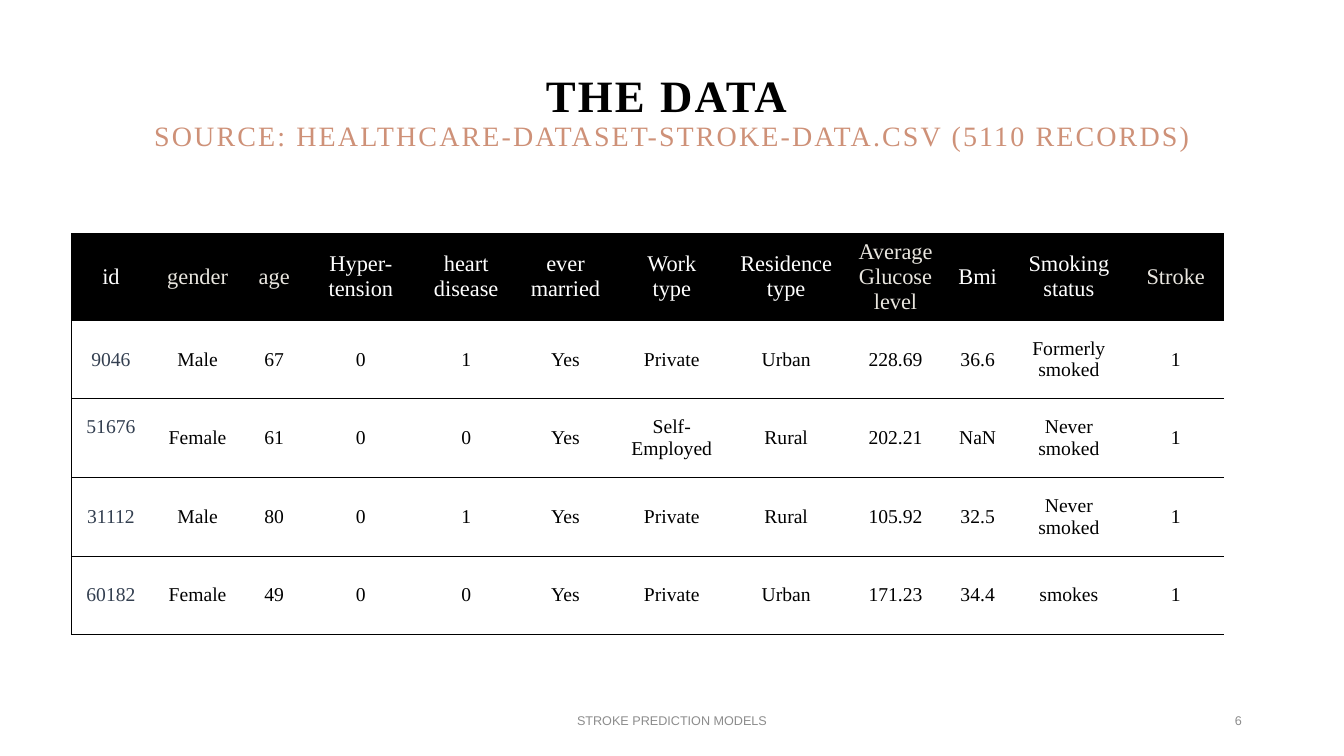
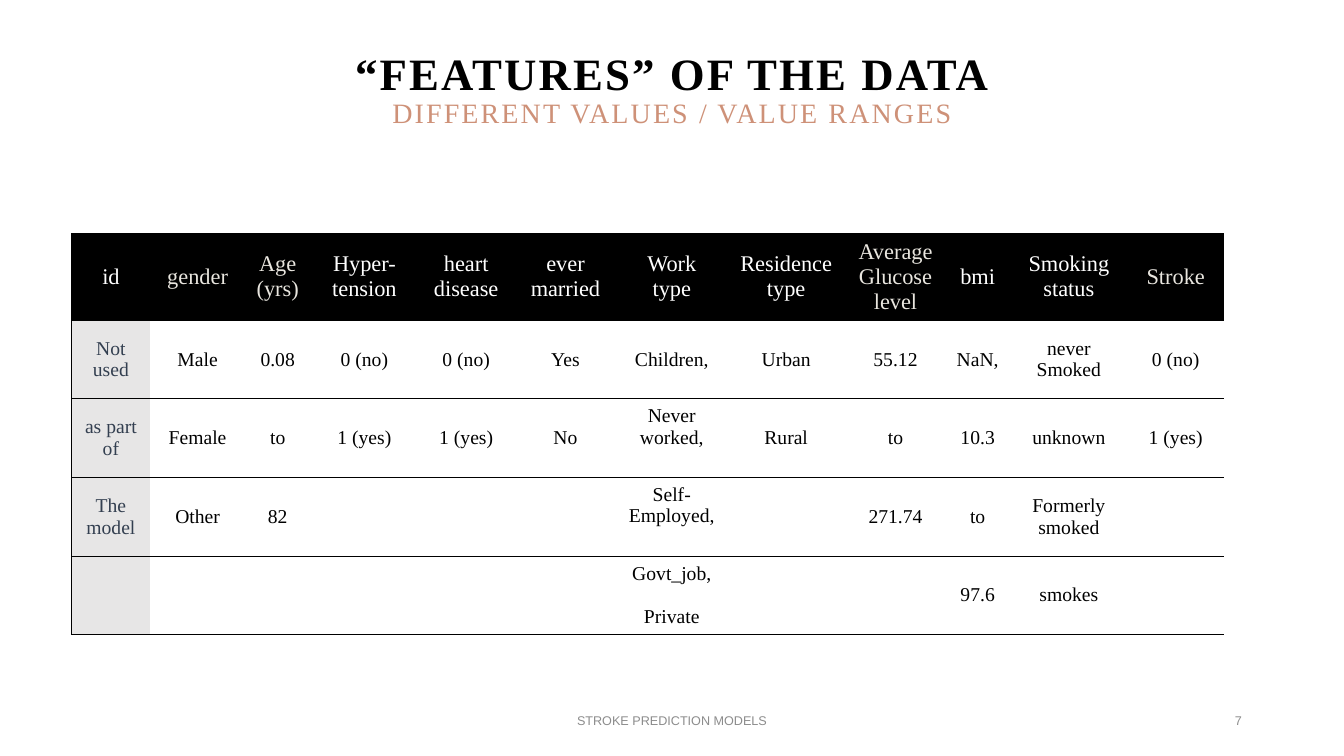
from dataclasses import dataclass
from typing import Any, Optional

from lxml.etree import SubElement
from pptx import Presentation
from pptx.dml.color import RGBColor
from pptx.enum.text import MSO_ANCHOR as Anchor, PP_ALIGN as Align
from pptx.oxml.ns import qn
from pptx.util import Inches, Pt

# Shared look
SERIF, SANS = "Times New Roman", "Arial"
BLACK, WHITE, CREAM = "000000", "FFFFFF", "E9E6DF"
COPPER, SLATE, GREY, PALE = "CE9178", "333F50", "8C8C8C", "E7E6E6"
WIDTH, HEIGHT = Inches(13.333), Inches(7.5)
TITLE_FORMAT = {"name": SERIF, "size": Pt(32), "bold": True}
SUBTITLE_FORMAT = {"name": SERIF, "size": Pt(20), "bold": False}
HEADER_FORMAT = {"name": SERIF, "size": Pt(16), "bold": False}
BODY_FORMAT = {"name": SERIF, "size": Pt(14), "bold": False}
FOOTER_FORMAT = {"name": SANS, "size": Pt(9)}
FOOTER_TEXT = "STROKE PREDICTION MODELS"
CREAM_COLUMNS = {1, 2, 8, 11}
ROW_SHARES = (84, 78, 78, 78, 78)
CELL_MARGIN = Inches(0.03)
RAISE = Inches(0.22)


@dataclass(frozen=True)
class Box:
    """Position and size in percent of the slide."""
    left: float
    top: float
    width: float
    height: float

    def lengths(self) -> tuple[int, int, int, int]:
        return (int(WIDTH * self.left / 100), int(HEIGHT * self.top / 100),
                int(WIDTH * self.width / 100), int(HEIGHT * self.height / 100))


TITLE_BOX = Box(6.9, 5.33, 86.2, 19.33)
TABLE_BOX = Box(5.33, 30.87, 85.73, 52.8)
FOOTER_BOX = Box(33.12, 92.67, 33.75, 5.33)
NUMBER_BOX = Box(70.65, 92.67, 22.5, 5.33)


@dataclass(frozen=True)
class Line:
    text: str
    format: dict[str, Any]
    color: str
    spacing: int = 0


@dataclass(frozen=True)
class DataSlide:
    number: int
    title: str
    subtitle: str
    column_shares: tuple[int, ...]
    rows: tuple[tuple[str, ...], ...]
    title_raise: float = 0
    id_fill: Optional[str] = None
    raised_cells: frozenset[tuple[int, int]] = frozenset()
    spread_cells: frozenset[tuple[int, int]] = frozenset()


def headings(age: str, bmi: str) -> tuple[str, ...]:
    return ("id", "gender", age, "Hyper-tension", "heart disease", "ever married",
            "Work type", "Residence type", "Average Glucose level", bmi,
            "Smoking status", "Stroke")


SLIDES = (
    DataSlide(
        6, "THE DATA ", "SOURCE: HEALTHCARE-DATASET-STROKE-DATA.CSV (5110 RECORDS)",
        (78, 94, 58, 114, 95, 102, 109, 118, 99, 64, 117, 95),
        (headings("age", "Bmi"),
         ("9046", "Male", "67", "0", "1", "Yes", "Private", "Urban",
          "228.69", "36.6", "Formerly smoked", "1"),
         ("51676", "Female", "61", "0", "0", "Yes", "Self-Employed", "Rural",
          "202.21", "NaN", "Never smoked", "1"),
         ("31112", "Male", "80", "0", "1", "Yes", "Private", "Rural",
          "105.92", "32.5", "Never smoked", "1"),
         ("60182", "Female", "49", "0", "0", "Yes", "Private", "Urban",
          "171.23", "34.4", "smokes", "1")),
        raised_cells=frozenset({(2, 0)})),
    DataSlide(
        7, "“FEATURES” OF THE DATA", "DIFFERENT VALUES / VALUE RANGES",
        (78, 94, 65, 107, 95, 102, 109, 118, 99, 64, 117, 95),
        (headings("Age\n(yrs)", "bmi"),
         ("Not used", "Male", "0.08", "0 (no)", "0 (no)", "Yes", "Children,", "Urban",
          "55.12", "NaN,", "never\nSmoked", "0 (no)"),
         ("as part\nof", "Female", "to", "1 (yes)", "1 (yes)", "No", "Never\nworked,", "Rural",
          "to", "10.3", "unknown", "1 (yes)"),
         ("The model", "Other", "82", "", "", "", "Self-Employed,", "",
          "271.74", "to", "Formerly\nsmoked", ""),
         ("", "", "", "", "", "", "Govt_job,\nPrivate", "",
          "", "97.6", "smokes", "")),
        title_raise=0.45, id_fill=PALE,
        raised_cells=frozenset({(2, 6), (3, 6)}),
        spread_cells=frozenset({(4, 6)})),
)


def rgb(color: str) -> RGBColor:
    return RGBColor.from_string(color)


def apply_format(font: Any, values: dict[str, Any], color: str) -> None:
    for name, value in values.items():
        setattr(font, name, value)
    font.color.rgb = rgb(color)


def add_text(slide: Any, box: Box, lines: list[Line], align: Any = Align.CENTER,
             line_spacing: float = 1, bottom_raise: float = 0) -> None:
    frame = slide.shapes.add_textbox(*box.lengths()).text_frame
    frame.word_wrap = True
    frame.vertical_anchor = Anchor.MIDDLE
    frame.margin_bottom = Inches(0.05 + bottom_raise)
    for index, line in enumerate(lines):
        paragraph = frame.add_paragraph() if index else frame.paragraphs[0]
        paragraph.alignment = align
        paragraph.line_spacing = line_spacing
        run = paragraph.add_run()
        run.text = line.text
        apply_format(run.font, line.format, line.color)
        if line.spacing:
            run.font._element.set("spc", str(line.spacing))


def set_borders(cell: Any, visible: set[str]) -> None:
    properties = cell._tc.get_or_add_tcPr()
    for index, side in enumerate("LRTB"):
        border = SubElement(properties, qn(f"a:ln{side}"), w=str(Pt(0.5)))
        if side in visible:
            fill = SubElement(border, qn("a:solidFill"))
            SubElement(fill, qn("a:srgbClr"), val=BLACK)
        else:
            SubElement(border, qn("a:noFill"))
        properties.insert(index, border)


def style_cell(cell: Any, data: DataSlide, row: int, column: int) -> None:
    is_header, is_id = row == 0, column == 0
    cell.text = data.rows[row][column]
    cell.vertical_anchor = Anchor.MIDDLE
    cell.margin_top = cell.margin_bottom = CELL_MARGIN
    if (row, column) in data.raised_cells:
        cell.margin_bottom = CELL_MARGIN + RAISE

    # Text
    if is_header:
        color = CREAM if column in CREAM_COLUMNS else WHITE
    else:
        color = SLATE if is_id else BLACK
    for paragraph in cell.text_frame.paragraphs:
        paragraph.alignment = Align.CENTER
        apply_format(paragraph.font, HEADER_FORMAT if is_header else BODY_FORMAT, color)
        for run in paragraph.runs:
            apply_format(run.font, HEADER_FORMAT if is_header else BODY_FORMAT, color)
    if (row, column) in data.spread_cells:
        cell.text_frame.paragraphs[0].space_after = Pt(15)

    # Fill and borders
    fill_color = BLACK if is_header else data.id_fill if is_id else None
    if fill_color:
        cell.fill.solid()
        cell.fill.fore_color.rgb = rgb(fill_color)
    else:
        cell.fill.background()
    set_borders(cell, set("LRTB") if is_header else set("LTB") if is_id else set("TB"))


def add_data_table(slide: Any, data: DataSlide) -> None:
    left, top, width, height = TABLE_BOX.lengths()
    table = slide.shapes.add_table(len(data.rows), len(data.column_shares),
                                   left, top, width, height).table
    table.first_row = table.horz_banding = False
    for column, share in zip(table.columns, data.column_shares):
        column.width = int(width * share / sum(data.column_shares))
    for row, share in zip(table.rows, ROW_SHARES):
        row.height = int(height * share / sum(ROW_SHARES))
    for row in range(len(data.rows)):
        for column in range(len(data.column_shares)):
            style_cell(table.cell(row, column), data, row, column)


def add_data_slide(presentation: Any, data: DataSlide) -> None:
    slide = presentation.slides.add_slide(presentation.slide_layouts[6])
    add_text(slide, TITLE_BOX,
             [Line(data.title, TITLE_FORMAT, BLACK, 150),
              Line(data.subtitle, SUBTITLE_FORMAT, COPPER, 150)],
             line_spacing=0.9, bottom_raise=data.title_raise)
    add_data_table(slide, data)
    add_text(slide, FOOTER_BOX, [Line(FOOTER_TEXT, FOOTER_FORMAT, GREY)])
    add_text(slide, NUMBER_BOX, [Line(str(data.number), FOOTER_FORMAT, GREY)], Align.RIGHT)


def main() -> None:
    presentation = Presentation()
    presentation.slide_width, presentation.slide_height = WIDTH, HEIGHT
    for data in SLIDES:
        add_data_slide(presentation, data)
    presentation.save("out.pptx")


if __name__ == "__main__":
    main()
